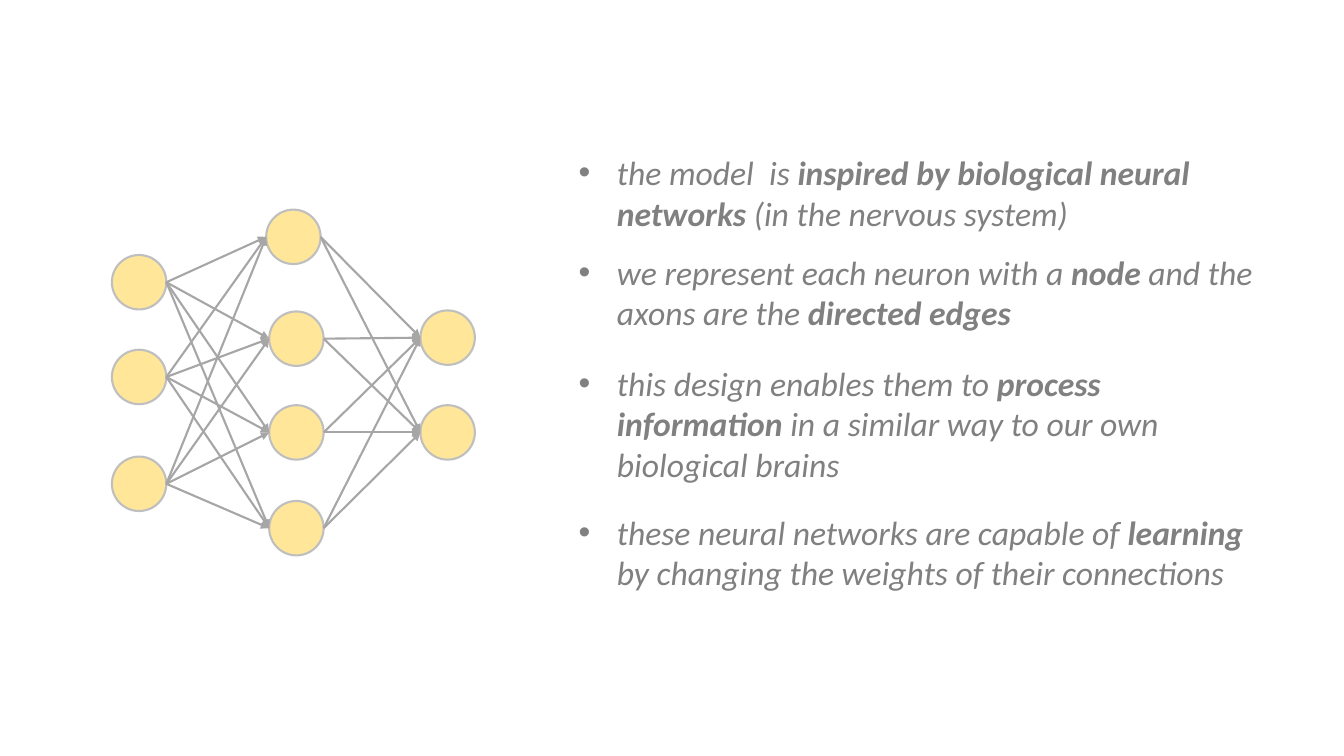
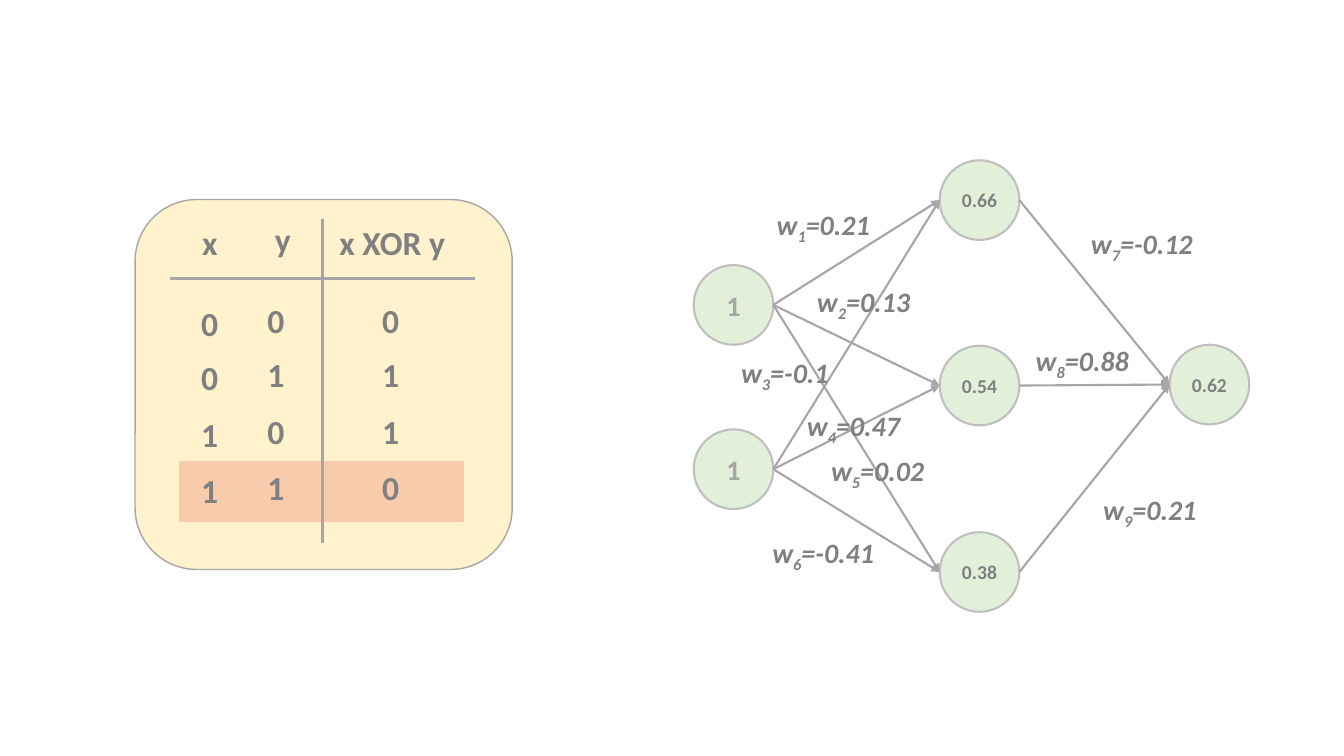
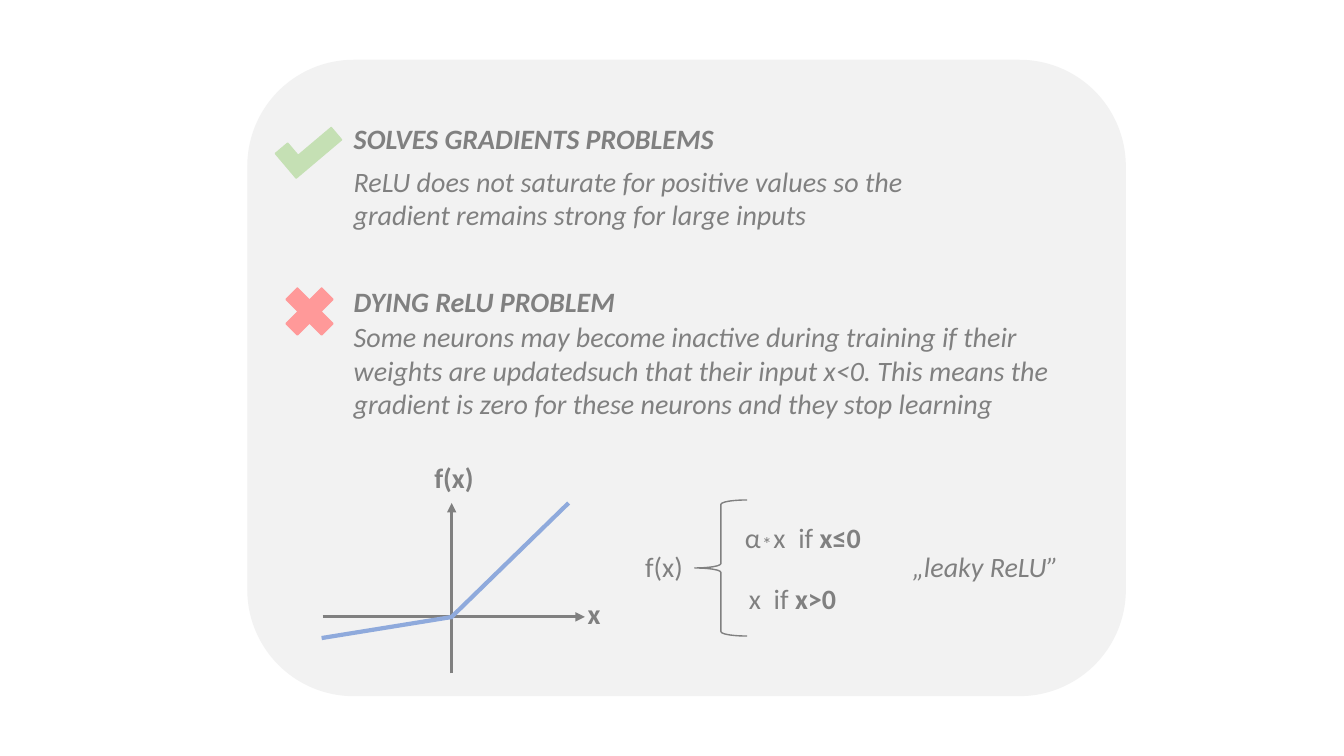
"""Build three slides on neural networks, XOR weights and ReLU."""
from itertools import product

from lxml.etree import SubElement as Sub
from pptx import Presentation
from pptx.dml.color import RGBColor as Rgb
from pptx.enum.shapes import MSO_CONNECTOR as Link, MSO_SHAPE as Form
from pptx.enum.text import MSO_ANCHOR as Anchor, MSO_AUTO_SIZE as Fit, PP_ALIGN as Align
from pptx.oxml.ns import qn
from pptx.util import Inches, Pt

FONT = "Calibri"
PLAIN = "{2D5ABB26-0587-4C30-8999-92F81FD0307C}"
HUES = {
    "text": "808080", "edge": "A6A6A6", "rim": "BFBFBF", "gold": "FFE699",
    "cream": "FFF2CC", "peach": "F8CBAD", "mint": "E2F0D9", "panel": "F2F2F2",
    "red": "FF9999", "green": "C5E0B4", "blue": "8FAADC",
}


def hue(name):
    """Return the colour with this name."""
    return Rgb.from_string(HUES[name])


def inch(nums):
    """Turn numbers into lengths."""
    return [Inches(num) for num in nums]


def write(para, runs, size, tint="text"):
    """Add runs of (words, marks): b bold, i italic, s subscript."""
    for words, marks in runs:
        run = para.add_run()
        run.text = words
        font = run.font
        font.name, font.size = FONT, Pt(size)
        font.bold, font.italic = "b" in marks, "i" in marks
        font.color.rgb = hue(tint)
        if "s" in marks:
            run._r.get_or_add_rPr().set("baseline", "-25000")


def label(slide, box, runs, size=20, wrap=False, align=Align.LEFT, dot=False):
    """Add a text box, with a bullet if dot is set."""
    frame = slide.shapes.add_textbox(*inch(box)).text_frame
    frame.word_wrap = wrap
    frame.auto_size = Fit.SHAPE_TO_FIT_TEXT
    para = frame.paragraphs[0]
    para.alignment = align
    if dot:
        props = para._p.get_or_add_pPr()
        props.set("marL", str(Inches(0.38)))
        props.set("indent", str(-Inches(0.38)))
        Sub(props, qn("a:buFont")).set("typeface", "Arial")
        Sub(props, qn("a:buChar")).set("char", "•")
    write(para, runs, size)


def shape(slide, form, box, fill, rim=None, width=1):
    """Add a preset shape; a fill of None leaves it open."""
    item = slide.shapes.add_shape(form, *inch(box))
    item.shadow.inherit = False
    if fill:
        item.fill.solid()
        item.fill.fore_color.rgb = hue(fill)
    else:
        item.fill.background()
    item.line.color.rgb = hue(rim or fill)
    item.line.width = Pt(width)
    return item


def line(slide, start, end, tint="edge", width=1.5, arrow=False):
    """Draw a straight line or arrow."""
    item = slide.shapes.add_connector(Link.STRAIGHT, *inch(start + end))
    item.line.color.rgb = hue(tint)
    item.line.width = Pt(width)
    if arrow:
        Sub(item.line._get_or_add_ln(), qn("a:tailEnd")).set("type", "triangle")
    Sub(item._element.spPr, qn("a:effectLst"))


def node(slide, spot, size, fill, words="", font=14, tint="text"):
    """Draw one neuron with its value."""
    item = shape(slide, Form.OVAL, (*spot, size, size), fill, "rim", 1.5)
    if words:
        frame = item.text_frame
        frame.word_wrap = False
        frame.vertical_anchor = Anchor.MIDDLE
        frame.paragraphs[0].alignment = Align.CENTER
        write(frame.paragraphs[0], [(words, "b")], font, tint)


def wire(slide, left, right, size):
    """Join each neuron of one layer to each of the next."""
    half = size / 2
    for (x, y), (far, low) in product(left, right):
        line(slide, (x + size, y + half), (far, low + half), arrow=True)


def truth(slide):
    """Draw the XOR truth table."""
    shape(slide, Form.ROUNDED_RECTANGLE, (1.34, 1.98, 3.74, 3.67), "cream", "edge")
    shape(slide, Form.RECTANGLE, (1.78, 4.58, 2.82, 0.59), "peach")
    rows = [("x", "y", "x XOR y")]
    rows += [(str(x), str(y), str(x ^ y)) for x, y in product((0, 1), repeat=2)]
    wide, tall = (0.78, 0.73, 1.51), (0.59, 0.7, 0.53, 0.57, 0.56)
    frame = slide.shapes.add_table(5, 3, *inch((1.69, 2.17, sum(wide), sum(tall))))
    grid = frame.table
    grid._tbl.tblPr.find(qn("a:tableStyleId")).text = PLAIN
    grid.first_row = grid.horz_banding = False
    for col, width in zip(grid.columns, wide):
        col.width = Inches(width)
    for i, words in enumerate(rows):
        grid.rows[i].height = Inches(tall[i])
        pads = (0, 0.2, 0.16) if i else (0, 0.06, 0.13)
        lows = (0.03, 0.06, 0.06) if i else (0.14, 0.17, 0.14)
        for j, word in enumerate(words):
            cell = grid.cell(i, j)
            cell.fill.background()
            cell.margin_left = cell.margin_top = 0
            cell.margin_right = Inches(pads[j])
            cell.margin_bottom = Inches(lows[j])
            cell.vertical_anchor = Anchor.BOTTOM
            para = cell.text_frame.paragraphs[0]
            para.alignment = Align.CENTER
            write(para, [(word, "b")], 24)
    line(slide, (1.69, 2.76), (4.71, 2.76), width=2.25)
    line(slide, (3.2, 2.17), (3.2, 5.39), width=2.25)


def model(slide):
    """Fill the slide on the model and its neurons."""
    points = [
        (1.46, 6.86, 0.91, [("the model  is ", "i"),
                            ("inspired by biological neural networks", "bi"),
                            (" (in the nervous system)", "i")]),
        (2.45, 6.93, 0.91, [("we represent each neuron with a ", "i"), ("node", "bi"),
                            (" and the axons are the ", "i"), ("directed edges", "bi")]),
        (3.55, 6.93, 1.31, [("this design enables them to ", "i"),
                            ("process information ", "bi"),
                            ("in a similar way to our own biological brains", "i")]),
        (5.03, 6.93, 0.91, [("these neural networks are capable of ", "i"),
                            ("learning", "bi"),
                            (" by changing the weights of their connections", "i")]),
    ]
    for top, width, height, runs in points:
        label(slide, (5.64, top, width, height), runs, 24, True, dot=True)
    size = 0.54
    first = [(1.11, y) for y in (2.53, 3.47, 4.53)]
    inner = [(2.64, 2.08)] + [(2.67, y) for y in (3.09, 4.02, 4.97)]
    last = [(4.17, y) for y in (3.08, 4.02)]
    for spot in first + inner + last:
        node(slide, spot, size, "gold")
    wire(slide, first, inner, size)
    wire(slide, inner, last, size)


def weights(slide):
    """Fill the slide on XOR and the weights."""
    truth(slide)
    size = 0.79
    first = [(6.88, y) for y in (2.63, 4.26)]
    inner = [(9.32, y) for y in (1.59, 3.43, 5.28)]
    last = [(11.6, 3.42)]
    for spot in first:
        node(slide, spot, size, "mint", "1", 20, "edge")
    for spot, words in zip(inner + last, ("0.66", "0.54", "0.38", "0.62")):
        node(slide, spot, size, "mint", words)
    wire(slide, first, inner, size)
    wire(slide, inner, last, size)
    marks = [
        (7.49, 2.01, "0.21"), (7.89, 2.77, "0.13"), (7.11, 3.48, "-0.1"),
        (7.79, 4, "0.47"), (8.03, 4.45, "0.02"), (7.49, 5.26, "-0.41"),
        (10.65, 2.2, "-0.12"), (10.06, 3.36, "0.88"), (10.73, 4.84, "0.21"),
    ]
    for i, (x, y, value) in enumerate(marks, 1):
        runs = [("w", "bi"), (str(i), "bis"), (f"={value}", "bi")]
        label(slide, (x, y, 1.35, 0.44), runs, wrap=True, align=Align.CENTER)


def relu(slide):
    """Fill the slide on ReLU and its leaky form."""
    shape(slide, Form.ROUNDED_RECTANGLE, (2.46, 0.6, 8.7, 6.3), "panel")
    notes = [
        (1.16, 7.55, 0.44, "SOLVES GRADIENTS PROBLEMS", "bi"),
        (1.58, 6.52, 0.77, "ReLU does not saturate for positive values so the "
         "gradient remains strong for large inputs", "i"),
        (2.77, 7.55, 0.44, "DYING ReLU PROBLEM", "bi"),
        (3.12, 7.42, 1.11, "Some neurons may become inactive during training if "
         "their weights are updatedsuch that their input x<0. This means the "
         "gradient is zero for these neurons and they stop learning", "i"),
    ]
    for top, width, height, words, marks in notes:
        label(slide, (3.41, top, width, height), [(words, marks)], wrap=True)
    shape(slide, Form.MATH_MULTIPLY, (2.73, 2.75, 0.68, 0.68), "red")
    tick = shape(slide, Form.CORNER, (2.9, 1.16, 0.32, 0.59), "green")
    tick.rotation = 49.8
    tick._element.spPr.find(qn("a:xfrm")).set("flipH", "1")
    line(slide, (4.48, 6.68), (4.48, 4.99), "text", 2.25, True)
    line(slide, (3.2, 6.12), (5.8, 6.12), "text", 2.25, True)
    line(slide, (3.19, 6.33), (4.49, 6.12), "blue", 3)
    line(slide, (4.48, 6.12), (5.64, 4.99), "blue", 3)
    shape(slide, Form.LEFT_BRACE, (6.89, 4.96, 0.52, 1.35), None, "text")
    terms = [
        (5.73, 5.87, 0.33, [("x", "b")]),
        (4.21, 4.52, 0.6, [("f(x)", "b")]),
        (6.3, 5.4, 0.6, [("f(x)", "")]),
        (7.29, 5.11, 1.36, [("α  x  if ", ""), ("x≤0", "b")]),
        (7.33, 5.72, 1.07, [("x  if ", ""), ("x>0", "b")]),
        (8.95, 5.4, 1.73, [("„leaky ReLU”", "i")]),
    ]
    for x, y, width, runs in terms:
        label(slide, (x, y, width, 0.44), runs)
    label(slide, (7.46, 5.23, 0.3, 0.34), [("*", "")], 14)


def main():
    """Make the deck and save it."""
    deck = Presentation()
    deck.slide_width, deck.slide_height = inch((13.33, 7.5))
    for fill in (model, weights, relu):
        fill(deck.slides.add_slide(deck.slide_layouts[6]))
    deck.save("out.pptx")


if __name__ == "__main__":
    main()
